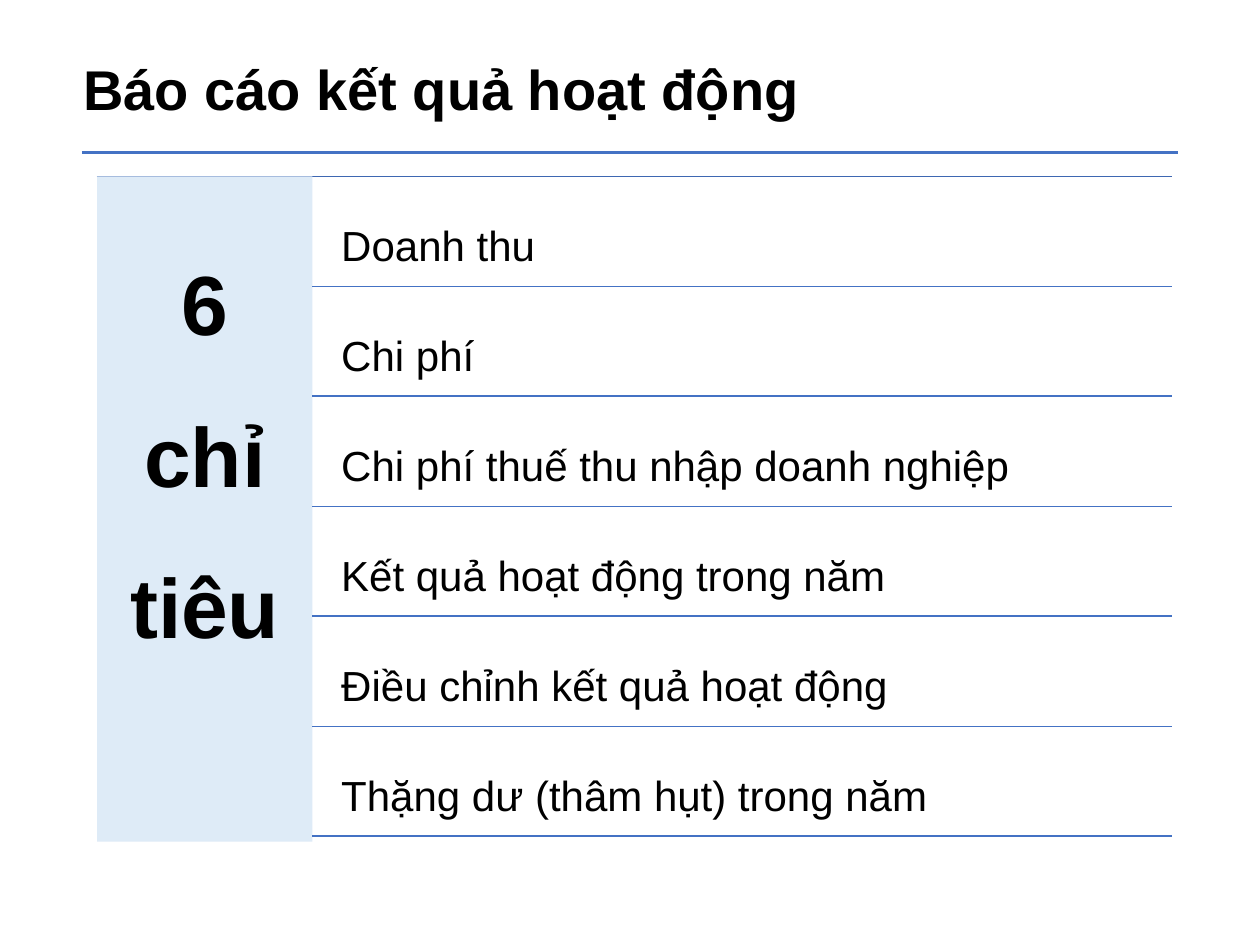
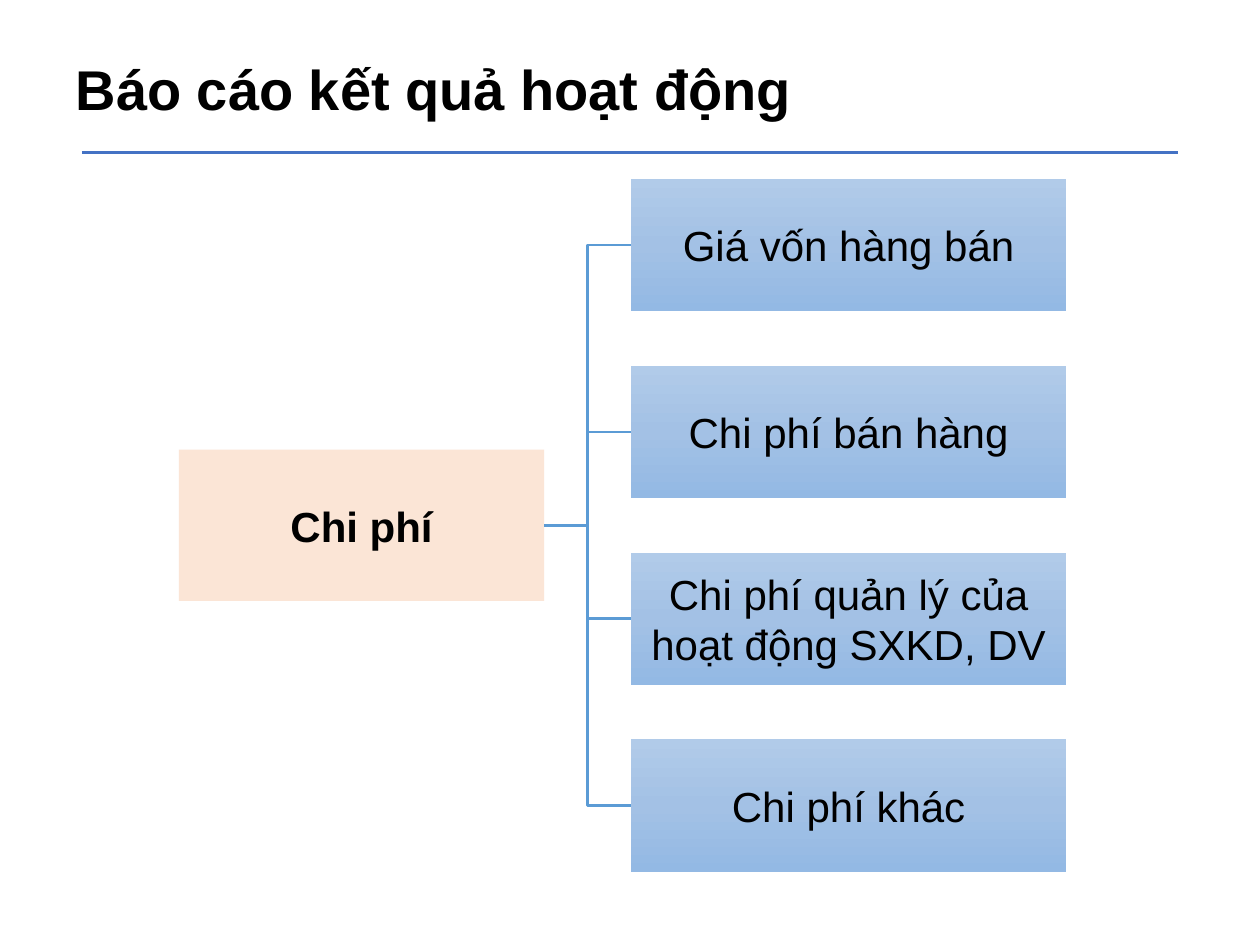
from copy import deepcopy

from lxml import etree
from pptx import Presentation
from pptx import util as u
from pptx.dml.color import RGBColor
from pptx.enum import shapes, text
from pptx.oxml import ns

COLORS = {
    "ink": "000000",
    "rule": "4472C4",
    "top_rule": "3E67B2",
    "branch": "5B9BD5",
    "band": "DEEBF7",
    "root": "FBE5D6",
}
LEAF_GRADIENT = {0: "B1CBE9", 0.5: "A3C1E5", 1: "93B9E4"}
COLUMNS, ROWS = 100, 75
FONT = "Arial"
HEADING = "Báo cáo kết quả hoạt động"
INDICATORS = [
    "Doanh thu",
    "Chi phí",
    "Chi phí thuế thu nhập doanh nghiệp",
    "Kết quả hoạt động trong năm",
    "Điều chỉnh kết quả hoạt động",
    "Thặng dư (thâm hụt) trong năm",
]
COSTS = [
    "Giá vốn hàng bán",
    "Chi phí bán hàng",
    "Chi phí quản lý của hoạt động SXKD, DV",
    "Chi phí khác",
]


class Deck:
    def __init__(self):
        self.prs = Presentation()
        self.prs.slide_width, self.prs.slide_height = u.Inches(10), u.Inches(7.5)
        self.layout = self.prs.slide_layouts.get_by_name("Title Only")
        self.slide = None

    def x(self, columns):
        return round(self.prs.slide_width * columns / COLUMNS)

    def y(self, rows):
        return round(self.prs.slide_height * rows / ROWS)

    def area(self, left, top, width, height):
        return self.x(left), self.y(top), self.x(width), self.y(height)

    def new_slide(self, heading, left):
        self.slide = self.prs.slides.add_slide(self.layout)
        title = self.slide.shapes.title
        title.left, title.top, title.width, title.height = self.area(left, 3.8, 75, 6.4)
        self.set_text(title, heading, size=32, bold=True, inset_rows=0.5)

    def shared_rule(self):
        rule = self.line(6.5, 93.5, 12.1, "rule", 1.5)
        self.layout.shapes.element.append(rule.element)

    def set_text(self, shape, words, size=24, bold=False, align=text.PP_ALIGN.LEFT,
                 anchor=text.MSO_ANCHOR.TOP, inset=1, inset_rows=None, spacing=1.0):
        frame = shape.text_frame
        frame.word_wrap = True
        frame.auto_size = text.MSO_AUTO_SIZE.NONE
        frame.vertical_anchor = anchor
        frame.margin_left = frame.margin_right = self.x(inset)
        frame.margin_top = frame.margin_bottom = self.y(inset_rows or inset)
        paragraph = frame.paragraphs[0]
        paragraph.text = words
        paragraph.alignment = align
        paragraph.line_spacing = spacing
        font = paragraph.font
        font.name, font.size, font.bold = FONT, u.Pt(size), bold
        font.color.rgb = RGBColor.from_string(COLORS["ink"])

    def label(self, words, left, top, width, height, **style):
        box = self.slide.shapes.add_textbox(*self.area(left, top, width, height))
        self.set_text(box, words, **style)

    def block(self, words, left, top, width, height, color=None, gradient=None, **style):
        box = self.slide.shapes.add_shape(
            shapes.MSO_SHAPE.RECTANGLE, *self.area(left, top, width, height))
        box.shadow.inherit = False
        box.line.fill.background()
        if gradient:
            self.shade(box, gradient)
        else:
            box.fill.solid()
            box.fill.fore_color.rgb = RGBColor.from_string(COLORS[color])
        self.set_text(box, words, align=text.PP_ALIGN.CENTER, **style)
        return box

    def shade(self, box, gradient):
        box.fill.gradient()
        box.fill.gradient_angle = 270
        stop_list = box.element.spPr.find(".//" + ns.qn("a:gsLst"))
        while len(stop_list) < len(gradient):
            stop_list.append(deepcopy(stop_list[0]))
        for stop, (position, color) in zip(box.fill.gradient_stops, gradient.items()):
            stop.position = position
            stop.color.rgb = RGBColor.from_string(color)

    def stroke(self, connector, color, weight):
        connector.line.color.rgb = RGBColor.from_string(COLORS[color])
        connector.line.width = u.Pt(weight)
        etree.SubElement(connector.element.spPr, ns.qn("a:effectLst"))
        return connector

    def line(self, start, end, row, color, weight=1):
        rule = self.slide.shapes.add_connector(
            shapes.MSO_CONNECTOR.STRAIGHT,
            self.x(start), self.y(row), self.x(end), self.y(row))
        return self.stroke(rule, color, weight)

    def branch(self, parent, child):
        elbow = self.slide.shapes.add_connector(shapes.MSO_CONNECTOR.ELBOW, 0, 0, 0, 0)
        elbow.begin_connect(parent, 3)
        elbow.end_connect(child, 1)
        self.stroke(elbow, "branch", 1.5)


def indicators_slide(deck):
    top, pitch, right = 14, 8.73, 93
    deck.new_slide(HEADING, 5.6)
    deck.shared_rule()
    deck.line(7.7, right, top, "top_rule")
    deck.block("6 chỉ tiêu", 7.7, top, 17.1, 52.8, "band", size=48, bold=True,
               inset=2, spacing=1.5)
    for index, indicator in enumerate(INDICATORS):
        row = top + index * pitch
        deck.label(indicator, 26.1, row + 0.4, 66.9, 8.3, spacing=1.5)
        deck.line(24.8, right, row + pitch, "rule")


def costs_slide(deck):
    top, pitch, height = 14.2, 14.83, 10.5
    root_height = 12
    centre = top + ((len(COSTS) - 1) * pitch + height) / 2
    style = {"anchor": text.MSO_ANCHOR.MIDDLE, "inset": 0.2}
    deck.new_slide(HEADING, 5)
    root = deck.block("Chi phí", 14.2, centre - root_height / 2, 29, root_height,
                      "root", bold=True, **style)
    for index, cost in enumerate(COSTS):
        leaf = deck.block(cost, 50.1, top + index * pitch, 34.5, height,
                          gradient=LEAF_GRADIENT, **style)
        deck.branch(root, leaf)


def main():
    deck = Deck()
    indicators_slide(deck)
    costs_slide(deck)
    deck.prs.save("out.pptx")


if __name__ == "__main__":
    main()
